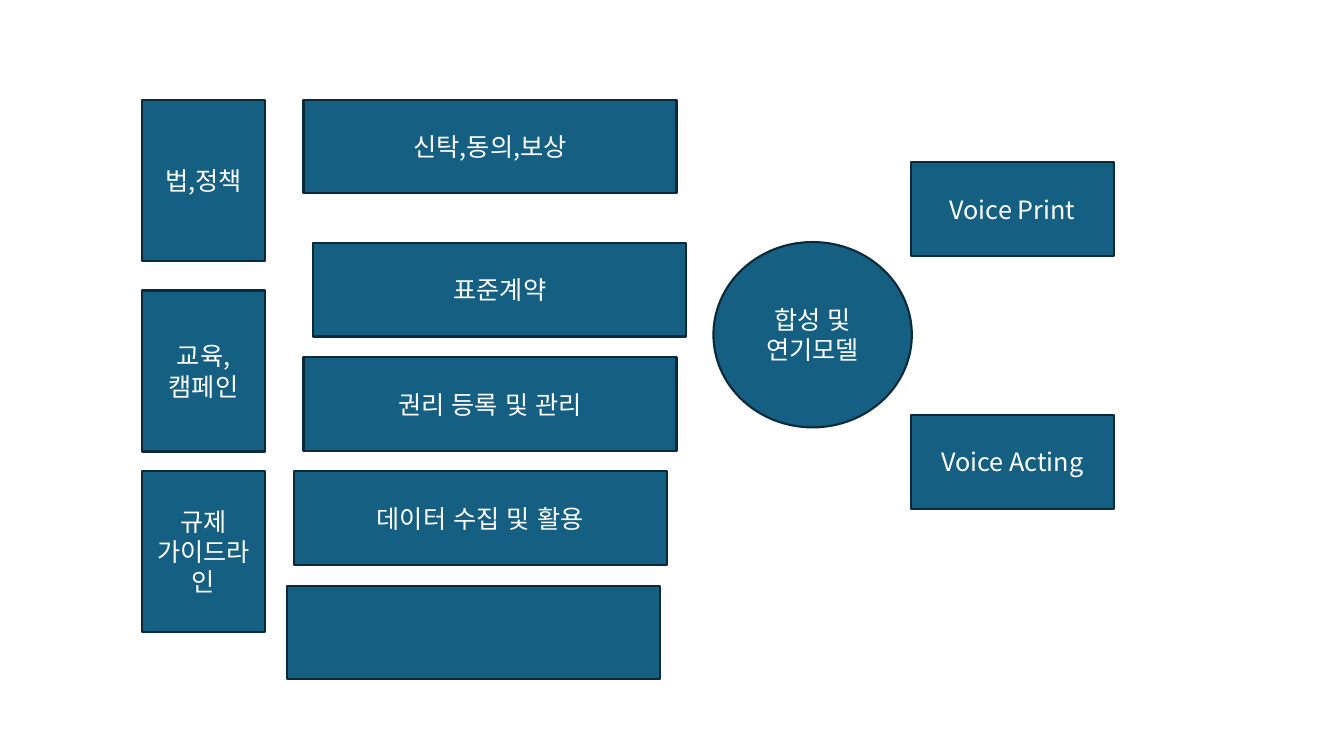
import pptx
import pptx.util
import pptx.dml.color
import pptx.enum.lang
import pptx.enum.shapes
import pptx.enum.text
import pptx.oxml.ns
from lxml import etree

Cm = pptx.util.Cm
SHAPE = pptx.enum.shapes.MSO_SHAPE
FONT = "Noto Sans CJK KR"
BAR_HEIGHT = 2.36


def color(value):
    return pptx.dml.color.RGBColor.from_string(value)


def write(tf, text, size=18, fill="FFFFFF", font=FONT):
    p = tf.paragraphs[0]
    p.alignment = pptx.enum.text.PP_ALIGN.CENTER
    r = p.add_run()
    r.text = text
    r.font.size = pptx.util.Pt(size)
    r.font.color.rgb = color(fill)
    r.font.name = font
    r.font.language_id = pptx.enum.lang.MSO_LANGUAGE_ID.KOREAN
    # Korean letters take the East Asian typeface
    ea = etree.SubElement(r.font._element, pptx.oxml.ns.qn("a:ea"))
    ea.set("typeface", font)


def add_block(s, x, y, w, h, text="", kind=SHAPE.RECTANGLE):
    sp = s.shapes.add_shape(kind, Cm(x), Cm(y), Cm(w), Cm(h))
    sp.shadow.inherit = False
    sp.fill.solid()
    sp.fill.fore_color.rgb = color("156082")
    sp.line.color.rgb = color("092A39")
    sp.line.width = pptx.util.Pt(1.5)
    tf = sp.text_frame
    tf.word_wrap = True
    tf.vertical_anchor = pptx.enum.text.MSO_ANCHOR.MIDDLE
    if text:
        write(tf, text)


def add_foundations(s, x, y, w):
    blocks = [("법,정책", 0), ("교육,캠페인", 4.81), ("규제 가이드라인", 9.35)]
    for text, dy in blocks:
        add_block(s, x, y + dy, w, 4.06, text)


def add_process(s, x, y, w):
    # The first bar stands apart; the others follow at an equal pitch
    add_block(s, x, y, w, BAR_HEIGHT, "신탁,동의,보상")
    bars = [("표준계약", 0.25), ("권리 등록 및 관리", 0),
            ("데이터 수집 및 활용", -0.25), ("", -0.41)]
    for i, (text, dx) in enumerate(bars):
        add_block(s, x + dx, y + 3.61 + i * 2.88, w, BAR_HEIGHT, text)


def add_outcomes(s, x, y, w, h):
    model_width = 5
    result_x, result_w = x + model_width - 0.02, w - model_width + 0.02
    add_block(s, result_x, y, result_w, BAR_HEIGHT, "Voice Print")
    add_block(s, result_x, y + h - BAR_HEIGHT, result_w, BAR_HEIGHT,
              "Voice Acting")
    add_block(s, x, y + 2.01, model_width, 4.67, "합성 및 연기모델", SHAPE.OVAL)


def main():
    prs = pptx.Presentation()
    prs.slide_width, prs.slide_height = Cm(33.87), Cm(19.05)
    s = prs.slides.add_slide(prs.slide_layouts[6])
    # Left column, middle bars, model with its two results
    add_foundations(s, 3.58, 2.51, 3.1)
    add_process(s, 7.65, 2.51, 9.4)
    add_outcomes(s, 17.98, 4.09, 10.09, 8.73)
    prs.save("out.pptx")


if __name__ == "__main__":
    main()
